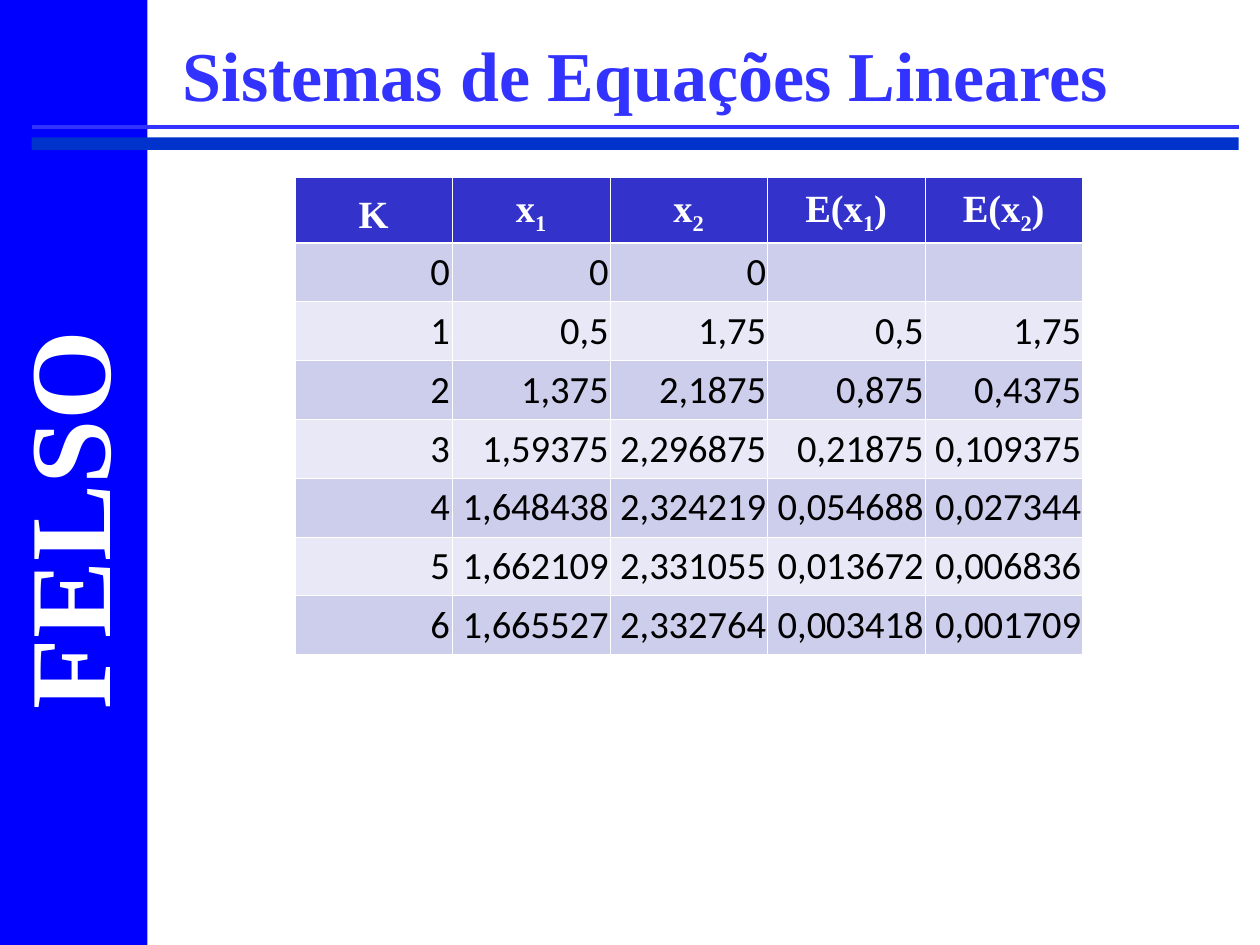
from dataclasses import dataclass

from lxml.etree import SubElement
from pptx import Presentation
from pptx.dml.color import RGBColor
from pptx.enum.shapes import MSO_CONNECTOR, MSO_SHAPE
from pptx.enum.text import MSO_ANCHOR, MSO_AUTO_SIZE, PP_ALIGN
from pptx.oxml.ns import qn
from pptx.util import Inches, Pt

COLORS = {
    "sidebar": "0000FF",
    "bar": "0033CC",
    "accent": "3333FF",
    "header": "3333CC",
    "odd_row": "CDCDEC",
    "even_row": "E8E8F6",
    "white": "FFFFFF",
    "black": "000000",
}
SERIF = "Times New Roman"
THIN, THICK = 0.45, 1.47

HEADERS = [("K", "", ""), ("x", "1", ""), ("x", "2", ""), ("E(x", "1", ")"), ("E(x", "2", ")")]
ITERATIONS = [
    ("0", "0", "0", "", ""),
    ("1", "0,5", "1,75", "0,5", "1,75"),
    ("2", "1,375", "2,1875", "0,875", "0,4375"),
    ("3", "1,59375", "2,296875", "0,21875", "0,109375"),
    ("4", "1,648438", "2,324219", "0,054688", "0,027344"),
    ("5", "1,662109", "2,331055", "0,013672", "0,006836"),
    ("6", "1,665527", "2,332764", "0,003418", "0,001709"),
]


@dataclass
class Band:
    left: float
    top: float
    width: float
    height: float
    color: str


@dataclass
class TextStyle:
    size: float
    font: str
    color: str
    bold: bool


BANDS = [Band(0, 0, 1.17, 7.5, "sidebar"), Band(0.25, 1.09, 9.58, 0.1, "bar")]
TITLE_STYLE = TextStyle(40, SERIF, "accent", True)
SIDE_STYLE = TextStyle(66, SERIF, "white", True)
HEADER_STYLE = TextStyle(22, SERIF, "white", True)
VALUE_STYLE = TextStyle(22, "Calibri", "black", False)


def rgb(name: str) -> RGBColor:
    return RGBColor.from_string(COLORS[name])


def format_runs(paragraph, style: TextStyle) -> None:
    for run in paragraph.runs:
        run.font.size = Pt(style.size)
        run.font.name = style.font
        run.font.bold = style.bold
        run.font.color.rgb = rgb(style.color)


def draw_band(slide, band: Band) -> None:
    shape = slide.shapes.add_shape(
        MSO_SHAPE.RECTANGLE, Inches(band.left), Inches(band.top), Inches(band.width), Inches(band.height)
    )
    shape.shadow.inherit = False
    shape.fill.solid()
    shape.fill.fore_color.rgb = rgb(band.color)
    shape.line.fill.background()


def draw_rule(slide) -> None:
    rule = slide.shapes.add_connector(
        MSO_CONNECTOR.STRAIGHT, Inches(0.25), Inches(1.01), Inches(9.83), Inches(1.01)
    )
    rule.line.color.rgb = rgb("accent")
    rule.line.width = Pt(2.25)
    SubElement(rule._element.spPr, qn("a:effectLst"))


def draw_side_label(slide, text: str) -> None:
    label = slide.shapes.add_textbox(Inches(-1.11), Inches(3.5), Inches(3.25), Inches(1.2))
    label.rotation = 270
    label.text_frame.word_wrap = False
    label.text_frame.text = text
    format_runs(label.text_frame.paragraphs[0], SIDE_STYLE)


def fill_title(slide, text: str) -> None:
    title = slide.shapes.title
    title.left, title.top, title.width, title.height = Inches(1.35), Inches(0.08), Inches(8.49), Inches(1)
    text_frame = title.text_frame
    text_frame.text = text
    text_frame.auto_size = MSO_AUTO_SIZE.NONE
    text_frame.vertical_anchor = MSO_ANCHOR.MIDDLE
    paragraph = text_frame.paragraphs[0]
    paragraph.alignment = PP_ALIGN.LEFT
    format_runs(paragraph, TITLE_STYLE)


def set_borders(cell, top: float, bottom: float) -> None:
    properties = cell._tc.get_or_add_tcPr()
    for side, width in (("L", THIN), ("R", THIN), ("T", top), ("B", bottom)):
        line = SubElement(properties, qn(f"a:ln{side}"), w=str(Pt(width)))
        SubElement(SubElement(line, qn("a:solidFill")), qn("a:srgbClr"), val=COLORS["white"])


def format_cell(cell, fill: str, margin: float, alignment: PP_ALIGN, style: TextStyle) -> None:
    cell.fill.solid()
    cell.fill.fore_color.rgb = rgb(fill)
    cell.margin_left = cell.margin_right = Inches(margin)
    cell.vertical_anchor = MSO_ANCHOR.BOTTOM
    paragraph = cell.text_frame.paragraphs[0]
    paragraph.alignment = alignment
    format_runs(paragraph, style)


def write_header(cell, parts: tuple[str, str, str]) -> None:
    paragraph = cell.text_frame.paragraphs[0]
    for index, part in enumerate(parts):
        if part:
            run = paragraph.add_run()
            run.text = part
            if index == 1:
                run.font._element.set("baseline", "-25000")


def draw_iterations(slide) -> None:
    table = slide.shapes.add_table(
        len(ITERATIONS) + 1, len(HEADERS), Inches(2.34), Inches(1.41), Inches(6.25), Inches(3.24)
    ).table
    for column in table.columns:
        column.width = Inches(1.25)
    for index, row in enumerate(table.rows):
        row.height = Inches(0.4 if index else 0.44)
    for column, parts in enumerate(HEADERS):
        cell = table.cell(0, column)
        write_header(cell, parts)
        set_borders(cell, THIN, THICK)
        format_cell(cell, "header", 0.02, PP_ALIGN.CENTER, HEADER_STYLE)
    for row, values in enumerate(ITERATIONS, start=1):
        for column, value in enumerate(values):
            cell = table.cell(row, column)
            if value:
                cell.text_frame.text = value
            set_borders(cell, THICK if row == 1 else THIN, THIN)
            fill = "odd_row" if row % 2 else "even_row"
            format_cell(cell, fill, 0.01 if column else 0.02, PP_ALIGN.RIGHT, VALUE_STYLE)


def main() -> None:
    presentation = Presentation()
    presentation.slide_width, presentation.slide_height = Inches(10), Inches(7.5)
    slide = presentation.slides.add_slide(presentation.slide_layouts[5])
    for band in BANDS:
        draw_band(slide, band)
    draw_rule(slide)
    draw_side_label(slide, "FELSO")
    fill_title(slide, "Sistemas de Equações Lineares")
    draw_iterations(slide)
    presentation.save("out.pptx")


if __name__ == "__main__":
    main()
